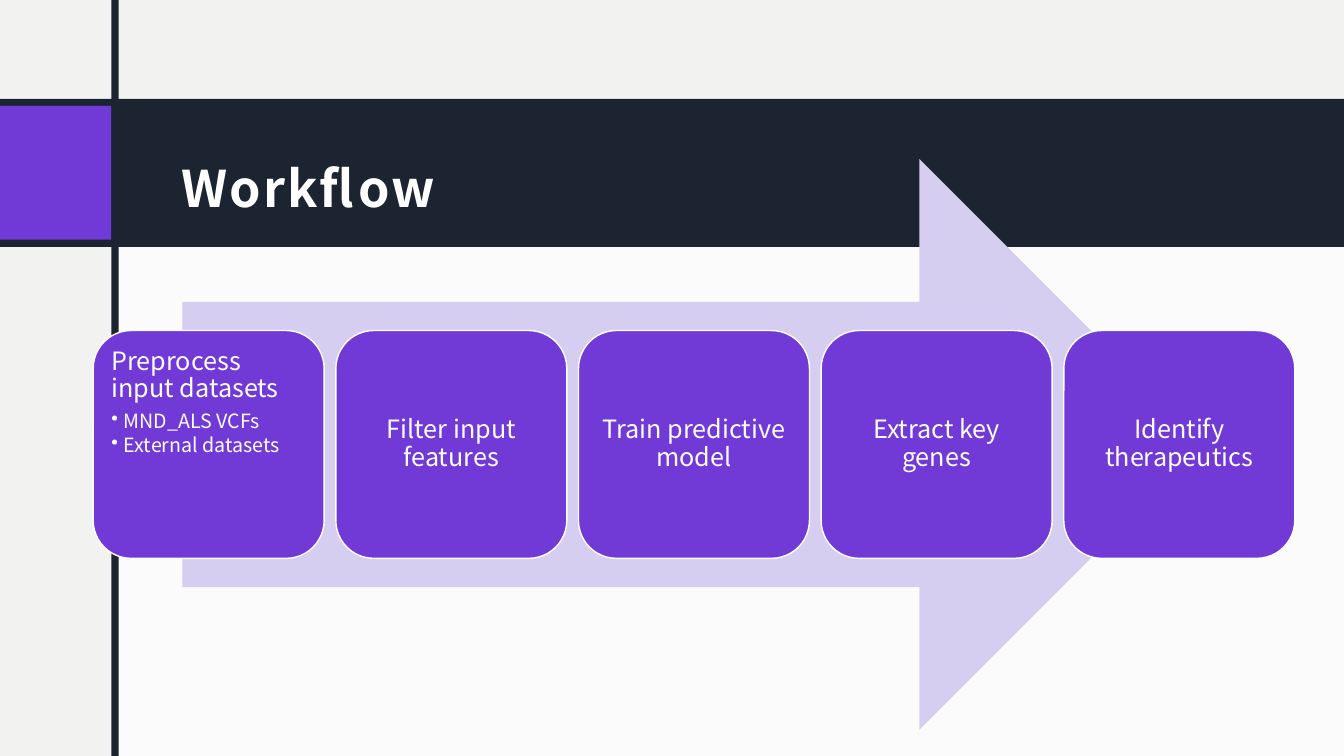
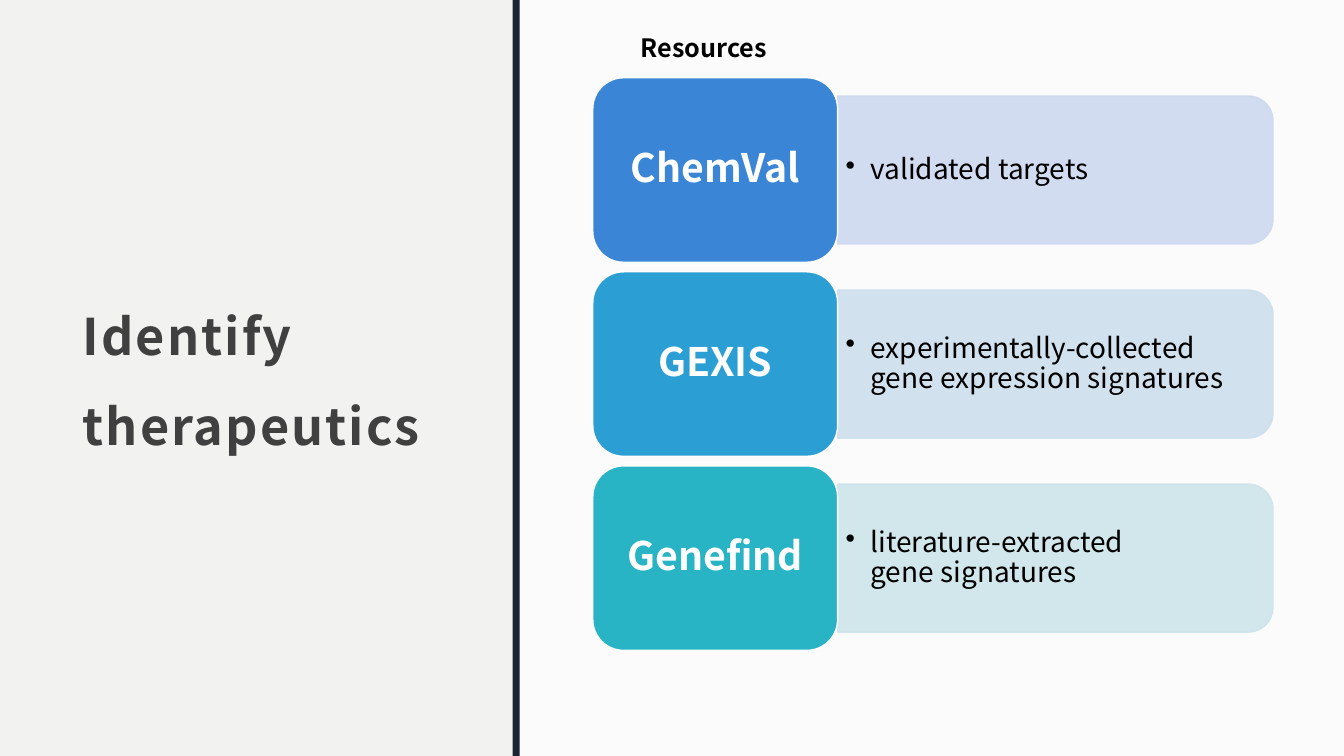
from dataclasses import dataclass

from lxml import etree
from pptx import Presentation
from pptx.dml.color import RGBColor
from pptx.enum.shapes import MSO_SHAPE
from pptx.enum.text import MSO_ANCHOR, MSO_AUTO_SIZE, PP_ALIGN
from pptx.oxml.ns import qn
from pptx.util import Cm, Pt

RECT = MSO_SHAPE.RECTANGLE
ROUNDED = MSO_SHAPE.ROUNDED_RECTANGLE
ROUNDED_END = MSO_SHAPE.ROUND_2_SAME_RECTANGLE
ARROW = MSO_SHAPE.RIGHT_ARROW
LEFT, CENTER = PP_ALIGN.LEFT, PP_ALIGN.CENTER
TOP, MIDDLE = MSO_ANCHOR.TOP, MSO_ANCHOR.MIDDLE
FIXED = MSO_AUTO_SIZE.NONE
TITLE_ONLY = 5


@dataclass(frozen=True)
class Theme:
    font: str = "Noto Sans CJK JP"
    paper: str = "F2F3F0"
    white: str = "FFFFFF"
    black: str = "000000"
    ink: str = "1C2432"
    heading: str = "404040"
    accent: str = "713AD6"
    pale_accent: str = "D5CEF0"
    title_size: int = 36
    card_size: int = 28
    note_size: int = 20
    step_size: int = 18
    detail_size: int = 14


@dataclass(frozen=True)
class Box:
    """A rectangle in centimetres."""
    left: float
    top: float
    width: float
    height: float

    def lengths(self):
        return [Cm(v) for v in (self.left, self.top, self.width, self.height)]


THEME = Theme()
PAGE_WIDTH, PAGE_HEIGHT = 33.87, 19.05
RULE_WIDTH = 0.18

STEPS = [
    ("Preprocess input datasets", ["MND_ALS VCFs", "External datasets"]),
    ("Filter input features", []),
    ("Train predictive model", []),
    ("Extract key genes", []),
    ("Identify therapeutics", []),
]
RESOURCES = [
    ("ChemVal", "validated targets", "3A85D6", "CED9F0"),
    ("GEXIS", "experimentally-collected\vgene expression signatures",
     "2B9FD3", "CDDFED"),
    ("Genefind", "literature-extracted\vgene signatures",
     "28B4C4", "CDE5EA"),
]


def add_box(page, kind, box, fill, line=None, opacity=100):
    shape = page.shapes.add_shape(kind, *box.lengths())
    shape.shadow.inherit = False
    shape.fill.solid()
    shape.fill.fore_color.rgb = RGBColor.from_string(fill)
    if line:
        shape.line.color.rgb = RGBColor.from_string(line)
        shape.line.width = Pt(1)
    else:
        shape.line.fill.background()
    if opacity < 100:
        for color in shape.element.spPr.iter(qn("a:srgbClr")):
            etree.SubElement(color, qn("a:alpha"), val=str(opacity * 1000))
    return shape


def set_frame(shape, anchor, side, upright):
    """Wrap text and set the side and top/bottom margins in centimetres."""
    frame = shape.text_frame
    frame.word_wrap = True
    frame.auto_size = FIXED
    frame.vertical_anchor = anchor
    frame.margin_left = frame.margin_right = Cm(side)
    frame.margin_top = frame.margin_bottom = Cm(upright)
    return frame


def write(para, text, size, color, bold=False, align=LEFT, spacing=0.9,
          after=0):
    para.text = text
    para.alignment = align
    para.line_spacing = spacing
    para.space_after = Pt(after)
    for span in para.runs:
        span.font.name = THEME.font
        span.font.size = Pt(size)
        span.font.bold = bold
        span.font.color.rgb = RGBColor.from_string(color)


def add_bullet(para, indent):
    props = para._p.get_or_add_pPr()
    props.set("marL", str(Cm(indent)))
    props.set("indent", str(-Cm(indent)))
    etree.SubElement(props, qn("a:buChar"), char="•")


def place_title(page, text, box, color):
    """Fill the title placeholder and bring it in front of the bands."""
    title = page.shapes.title
    title.left, title.top, title.width, title.height = box.lengths()
    frame = set_frame(title, MIDDLE, 0.3, 0.3)
    frame.margin_bottom = Cm(0.25)
    para = frame.paragraphs[0]
    write(para, text, THEME.title_size, color, bold=True, spacing=1.5)
    for span in para.runs:
        span._r.get_or_add_rPr().set("spc", "150")
    title.element.getparent().append(title.element)


def add_rule(page, center):
    add_box(page, RECT, Box(center - RULE_WIDTH / 2, 0, RULE_WIDTH,
                            PAGE_HEIGHT), THEME.ink)


def add_panel(page, left, top):
    """Lighten the page from a corner to its right and bottom edges."""
    add_box(page, RECT, Box(left, top, PAGE_WIDTH - left, PAGE_HEIGHT - top),
            THEME.white, opacity=75)


def add_title_band(page, box, text, rule_center):
    add_box(page, RECT, box, THEME.ink)
    place_title(page, text, Box(4.27, box.top + 0.4, 27.81, 2.87),
                THEME.white)
    add_box(page, RECT, Box(box.left, box.top + RULE_WIDTH,
                            rule_center - RULE_WIDTH / 2,
                            box.height - 2 * RULE_WIDTH), THEME.accent)


def add_step(page, box, heading, details):
    shape = add_box(page, ROUNDED, box, THEME.accent, THEME.white)
    frame = set_frame(shape, TOP if details else MIDDLE, 0.18, 0.18)
    write(frame.paragraphs[0], heading, THEME.step_size, THEME.white,
          align=LEFT if details else CENTER, after=6)
    for detail in details:
        para = frame.add_paragraph()
        write(para, detail, THEME.detail_size, THEME.white, after=2)
        add_bullet(para, 0.31)


def add_steps(page, box, step_width):
    pitch = (box.width - step_width) / (len(STEPS) - 1)
    for index, (heading, details) in enumerate(STEPS):
        add_step(page, Box(box.left + index * pitch, box.top, step_width,
                           box.height), heading, details)


def add_resource(page, box, card_width, resource):
    """Put a coloured name card at the left and its note bar at the right."""
    name, note, color, pale = resource
    bar = Box(box.left + card_width, box.top + 0.46,
              box.width - card_width, box.height - 0.92)
    turn = (bar.width - bar.height) / 2
    upright = Box(bar.left + turn, bar.top - turn, bar.height, bar.width)
    add_box(page, ROUNDED_END, upright, pale, pale, 90).rotation = 90

    label = page.shapes.add_textbox(*bar.lengths())
    para = set_frame(label, MIDDLE, 0.2, 0.1).paragraphs[0]
    write(para, note, THEME.note_size, THEME.black, after=3)
    add_bullet(para, 0.63)

    card = add_box(page, ROUNDED, Box(box.left, box.top, card_width,
                                      box.height), color, THEME.white)
    para = set_frame(card, MIDDLE, 0.3, 0.15).paragraphs[0]
    write(para, name, THEME.card_size, THEME.white, bold=True, align=CENTER)


def add_resources(page, box, card_width, card_height):
    pitch = (box.height - card_height) / (len(RESOURCES) - 1)
    for index, resource in enumerate(RESOURCES):
        add_resource(page, Box(box.left, box.top + index * pitch, box.width,
                               card_height), card_width, resource)


def add_caption(page, box, text):
    caption = page.shapes.add_textbox(*box.lengths())
    frame = caption.text_frame
    frame.word_wrap = False
    write(frame.paragraphs[0], text, THEME.step_size, THEME.black, bold=True,
          spacing=1.0)


def build_workflow(deck):
    page = deck.slides.add_slide(deck.slide_layouts[TITLE_ONLY])
    rule_center = 2.9
    band = Box(0, 2.49, PAGE_WIDTH, 3.73)
    add_panel(page, rule_center, band.top + band.height)
    add_title_band(page, band, "Workflow", rule_center)
    add_rule(page, rule_center)
    add_box(page, ARROW, Box(4.6, 4.01, 25.76, 14.38), THEME.pale_accent)
    add_steps(page, Box(2.35, 8.33, 30.28, 5.74), 5.82)


def build_therapeutics(deck):
    page = deck.slides.add_slide(deck.slide_layouts[TITLE_ONLY])
    rule_center = 13.01
    add_panel(page, rule_center, 0)
    add_rule(page, rule_center)
    place_title(page, "Identify therapeutics", Box(1.78, 1.96, 9.86, 14.43),
                THEME.heading)
    add_resources(page, Box(14.94, 1.96, 17.14, 14.43), 6.17, 4.65)
    add_caption(page, Box(15.9, 0.69, 3.99, 1.02), "Resources")


def main():
    deck = Presentation()
    deck.slide_width, deck.slide_height = Cm(PAGE_WIDTH), Cm(PAGE_HEIGHT)
    backdrop = deck.slide_master.background.fill
    backdrop.solid()
    backdrop.fore_color.rgb = RGBColor.from_string(THEME.paper)
    build_workflow(deck)
    build_therapeutics(deck)
    deck.save("out.pptx")


if __name__ == "__main__":
    main()
